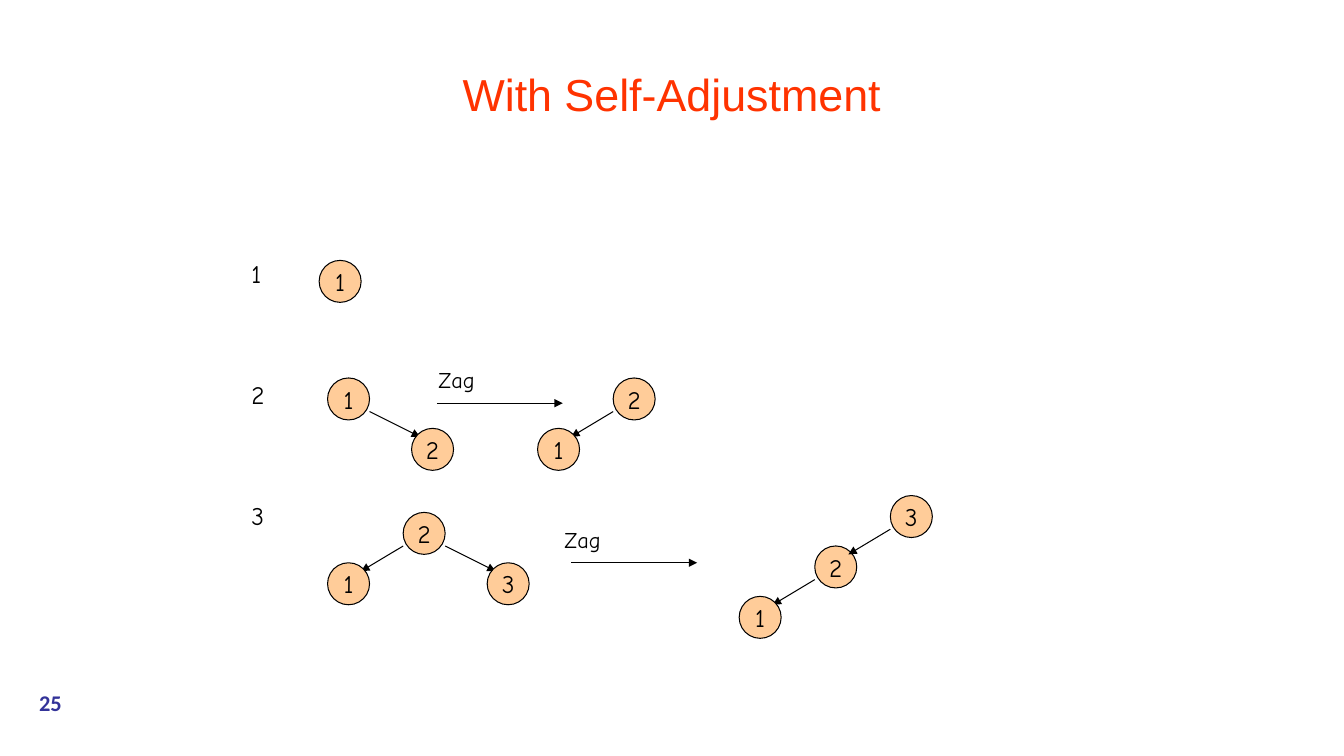
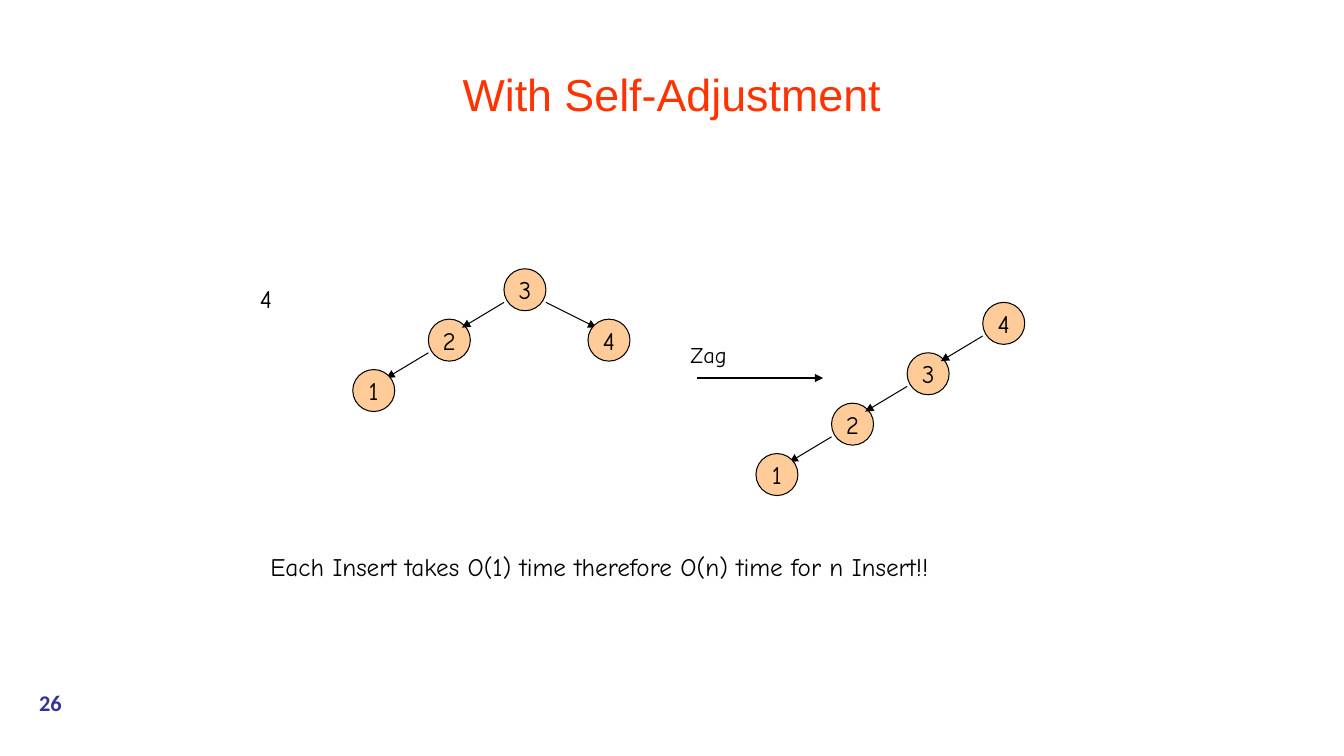
from dataclasses import dataclass
from typing import NamedTuple, Optional

from pptx import Presentation
from pptx.dml.color import RGBColor
from pptx.enum.shapes import MSO_CONNECTOR as Link, MSO_SHAPE as Form
from pptx.enum.text import MSO_ANCHOR as Anchor, PP_ALIGN as Align
from pptx.oxml.ns import qn
from pptx.slide import Slide
from pptx.text.text import TextFrame
from pptx.util import Emu, Pt
from lxml.etree import SubElement

# Shared scale, colours and fonts
PX = 9525  # 96 px to the inch
BLACK, PEACH, RED, NAVY = "000000", "FFCC99", "FF3300", "333399"
HAND = "Comic Neue"
NODE = 40       # node diameter
LEFT, RIGHT, DROP = -72, 80, 48  # offsets from a node to its children


class Style(NamedTuple):
    font: str
    size: int
    color: str = BLACK
    bold: bool = False


TITLE = Style("Arial", 32, RED)
FOOT = Style("Calibri", 16, NAVY, True)
BODY = Style(HAND, 18)
NOTE = Style(HAND, 16)


@dataclass
class Tree:
    key: int
    left: Optional["Tree"] = None
    right: Optional["Tree"] = None

    def is_leaf(self) -> bool:
        return self.left is None and self.right is None


class Plant(NamedTuple):
    """A tree and the corner of its root node."""
    x: int
    y: int
    tree: Tree


class Turn(NamedTuple):
    """A rotation arrow and the left edge of its label."""
    x: int
    y: int
    label: int


class Label(NamedTuple):
    x: int
    y: int
    width: int
    lines: list[str]


@dataclass
class Page:
    number: int
    plants: list[Plant]
    turns: list[Turn]
    labels: list[Label]


def px(value: int) -> Emu:
    return Emu(value * PX)


def paint(color: str) -> RGBColor:
    return RGBColor.from_string(color)


# Drawing parts
def write(frame: TextFrame, text: str, style: Style, align: Align, anchor: Anchor) -> None:
    frame.text = text
    frame.vertical_anchor = anchor
    for para in frame.paragraphs:
        para.alignment = align
        for run in para.runs:
            font = run.font
            font.name, font.size, font.bold = style.font, Pt(style.size), style.bold
            font.color.rgb = paint(style.color)


def add_text(slide: Slide, x: int, y: int, width: int, height: int, text: str, style: Style,
             align: Align = Align.LEFT, anchor: Anchor = Anchor.TOP) -> TextFrame:
    frame = slide.shapes.add_textbox(px(x), px(y), px(width), px(height)).text_frame
    frame.word_wrap = True
    write(frame, text, style, align, anchor)
    return frame


def add_arrow(slide: Slide, x: int, y: int, to_x: int, to_y: int) -> None:
    arrow = slide.shapes.add_connector(Link.STRAIGHT, px(x), px(y), px(to_x), px(to_y))
    arrow.line.color.rgb = paint(BLACK)
    arrow.line.width = Pt(0.75)
    SubElement(arrow.line._get_or_add_ln(), qn("a:tailEnd"), type="triangle")
    SubElement(arrow._element.spPr, qn("a:effectLst"))


def add_node(slide: Slide, x: int, y: int, key: int) -> None:
    node = slide.shapes.add_shape(Form.OVAL, px(x), px(y), px(NODE), px(NODE))
    node.shadow.inherit = False
    node.fill.solid()
    node.fill.fore_color.rgb = paint(PEACH)
    node.line.color.rgb = paint(BLACK)
    node.line.width = Pt(0.75)
    node.text_frame.word_wrap = False
    write(node.text_frame, str(key), BODY, Align.CENTER, Anchor.MIDDLE)


def add_tree(slide: Slide, x: int, y: int, tree: Tree) -> None:
    add_node(slide, x, y, tree.key)
    sides = [(tree.left, LEFT, 0, -40), (tree.right, RIGHT, NODE, 48)]
    for child, shift, start, reach in sides:
        if child is None:
            continue
        edge = (x + start, y + 32, x + start + reach, y + 56)
        # An edge lies under a leaf but over an inner node
        if child.is_leaf():
            add_arrow(slide, *edge)
        add_tree(slide, x + shift, y + DROP, child)
        if not child.is_leaf():
            add_arrow(slide, *edge)


def add_turn(slide: Slide, turn: Turn) -> None:
    add_text(slide, turn.label, turn.y - 40, 80, 36, "Zag", NOTE)
    add_arrow(slide, turn.x, turn.y, turn.x + 120, turn.y)


def add_label(slide: Slide, label: Label) -> None:
    frame = add_text(slide, label.x, label.y, label.width, 38, "\n".join(label.lines), BODY)
    for para in frame.paragraphs[1:]:
        para.space_before = Pt(65)


def add_frame(slide: Slide, number: int) -> None:
    """Title and slide number shared by all pages."""
    foot = add_text(slide, 0, 653, 96, 32, str(number), FOOT, Align.CENTER, Anchor.MIDDLE)
    foot.margin_left = foot.margin_right = foot.margin_top = foot.margin_bottom = 0
    add_text(slide, 64, 29, 1152, 120, "With Self-Adjustment", TITLE, Align.CENTER, Anchor.MIDDLE)


def chain(top: int) -> Tree:
    """Keys from top down to 1, each the left child of the last."""
    return Tree(top, chain(top - 1) if top > 1 else None)


# Content
PAGES = [
    Page(
        25,
        [
            Plant(304, 248, chain(1)),
            Plant(312, 360, Tree(1, right=Tree(2))),
            Plant(584, 360, chain(2)),
            Plant(384, 488, Tree(2, chain(1), Tree(3))),
            Plant(848, 472, chain(3)),
        ],
        [Turn(416, 384, 408), Turn(544, 536, 528)],
        [Label(230, 241, 36, ["1", "2", "3"])],
    ),
    Page(
        26,
        [
            Plant(480, 256, Tree(3, chain(2), Tree(4))),
            Plant(936, 288, chain(4)),
        ],
        [Turn(664, 360, 648)],
        [
            Label(238, 265, 36, ["4"]),
            Label(248, 520, 729,
                  ["Each Insert takes O(1) time therefore O(n) time for n Insert!!"]),
        ],
    ),
]


def main() -> None:
    deck = Presentation()
    deck.slide_width, deck.slide_height = px(1280), px(720)
    for page in PAGES:
        slide = deck.slides.add_slide(deck.slide_layouts[6])
        add_frame(slide, page.number)
        for plant in page.plants:
            add_tree(slide, *plant)
        for turn in page.turns:
            add_turn(slide, turn)
        for label in page.labels:
            add_label(slide, label)
    deck.save("out.pptx")


if __name__ == "__main__":
    main()
